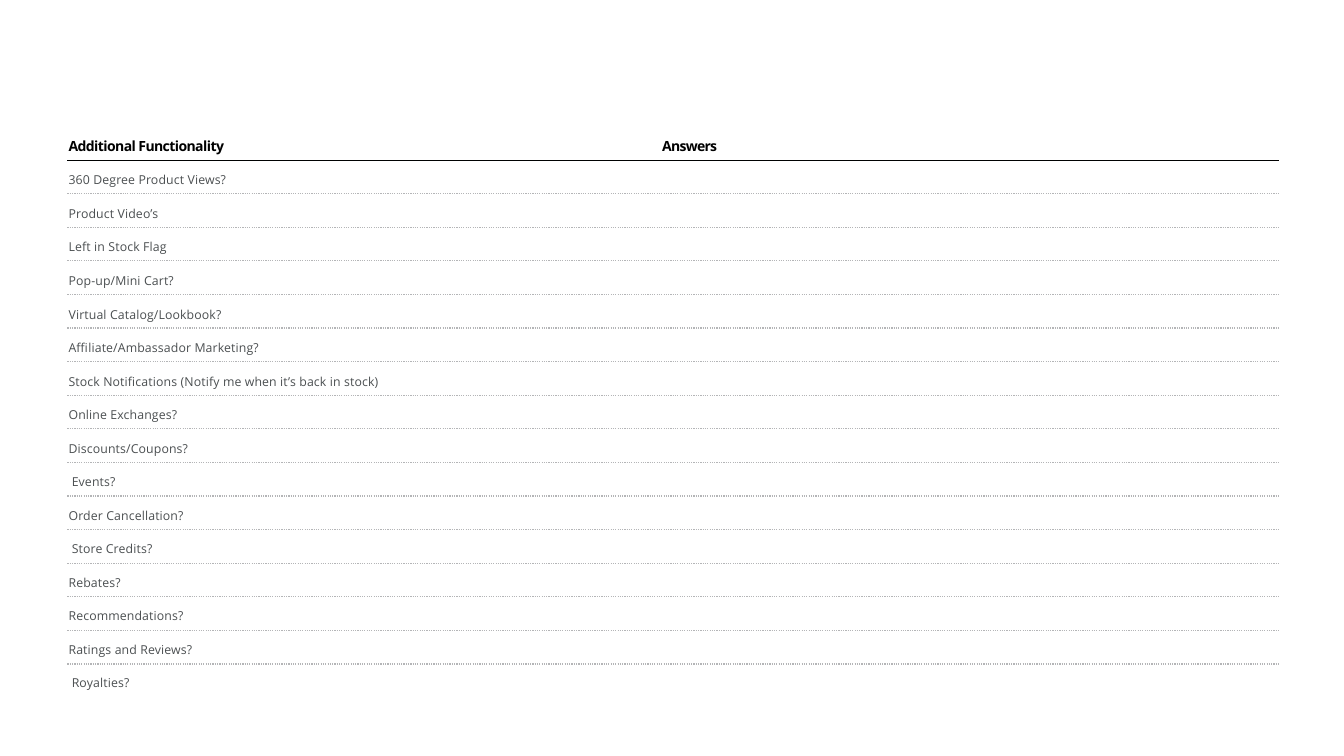
import pptx
import pptx.util
import pptx.dml.color
import pptx.enum.dml
import pptx.enum.shapes
import pptx.enum.text
from lxml import etree
from pptx.util import Cm, Pt

HEADS = [("Additional Functionality", 1.7, 4.4, -0.4),
         ("Answers", 16.66, 2.2, -0.5)]
ITEMS = ["360 Degree Product Views?", "Product Video’s", "Left in Stock Flag",
         "Pop-up/Mini Cart?", "Virtual Catalog/Lookbook?",
         "Affiliate/Ambassador Marketing?",
         "Stock Notifications (Notify me when it’s back in stock)",
         "Online Exchanges?", "Discounts/Coupons?", "Events?",
         "Order Cancellation?", "Store Credits?", "Rebates?",
         "Recommendations?", "Ratings and Reviews?", "Royalties?"]
INSET = {"Events?", "Store Credits?", "Royalties?"}

THEME = {"font": "Open Sans", "head": ("000000", 10), "item": ("4B4F51", 8.8),
         "rule": "000101", "dots": "B4B5B7", "line": 0.82, "pitch": 23.95}

LEFT, RIGHT = 1.7, 32.23
HEAD_TOP, HEAD_RULE = 3.43, 4.04
LIST_TOP, LIST_WIDE, LIST_HIGH = 4.32, 8.2, 13.13
FIRST, LAST = 4.88, 16.73


def paint(hue):
    """Turn a hex string into a colour."""
    return pptx.dml.color.RGBColor.from_string(hue)


def add_box(slide, left, top, wide, high):
    """Add a text box with tight margins and return its frame."""
    frame = slide.shapes.add_textbox(Cm(left), Cm(top), Cm(wide), Cm(high)).text_frame
    frame.word_wrap = True
    frame.margin_left = frame.margin_right = frame.margin_bottom = 0
    frame.margin_top = Cm(0.03)
    frame.vertical_anchor = pptx.enum.text.MSO_ANCHOR.TOP
    return frame


def style(para, look, bold, track, gap, inset=0.03):
    """Format a paragraph and its runs; track is in points."""
    hue, size = THEME[look]
    para.space_before = Pt(gap)
    para._p.get_or_add_pPr().set("marL", str(Cm(inset)))
    for run in para.runs:
        font = run.font
        font.name, font.size, font.bold = THEME["font"], Pt(size), bold
        font.color.rgb = paint(hue)
        run._r.get_or_add_rPr().set("spc", str(round(track * 100)))


def add_rule(slide, top, hue, dash=None):
    """Draw a line across the full width."""
    line = slide.shapes.add_connector(
        pptx.enum.shapes.MSO_CONNECTOR.STRAIGHT, Cm(LEFT), Cm(top), Cm(RIGHT), Cm(top))
    line.line.color.rgb = paint(hue)
    line.line.width = Pt(THEME["line"])
    if dash:
        line.line.dash_style = dash
    etree.SubElement(line._element.spPr, pptx.oxml.ns.qn("a:effectLst"))


def add_list(slide):
    """Write the items, one paragraph to a row."""
    frame = add_box(slide, LEFT, LIST_TOP, LIST_WIDE, LIST_HIGH)
    for i, item in enumerate(ITEMS):
        para = frame.add_paragraph() if i else frame.paragraphs[0]
        para.text = item
        style(para, "item", False, 0.1, 0 if i else 0.8, 0.11 if item in INSET else 0.03)
        if i:
            para.line_spacing = Pt(THEME["pitch"])


def main():
    """Build and save the slide."""
    deck = pptx.Presentation()
    deck.slide_width, deck.slide_height = Cm(33.87), Cm(19.05)
    slide = deck.slides.add_slide(deck.slide_layouts[6])
    add_rule(slide, HEAD_RULE, THEME["rule"])
    add_list(slide)
    count = len(ITEMS) - 1
    step = (LAST - FIRST) / (count - 1)
    for i in range(count):
        add_rule(slide, FIRST + i * step, THEME["dots"],
                 pptx.enum.dml.MSO_LINE.ROUND_DOT)
    for text, left, wide, track in HEADS:
        para = add_box(slide, left, HEAD_TOP, wide, 0.46).paragraphs[0]
        para.text = text
        style(para, "head", True, track, 0.6)
    deck.save("out.pptx")


main()
